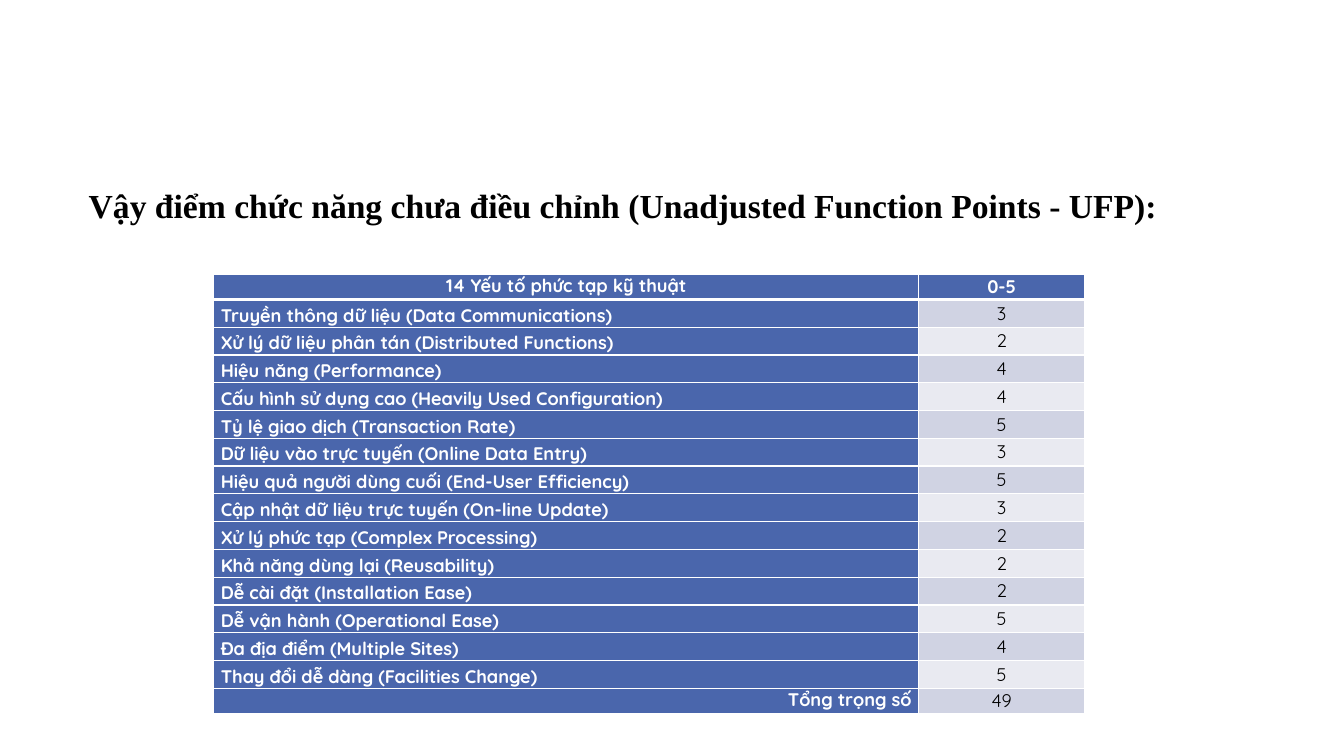
import dataclasses

import lxml.etree
import pptx
import pptx.dml.color
import pptx.enum.text
import pptx.oxml.ns
import pptx.util

Inches = pptx.util.Inches
Pt = pptx.util.Pt
ALIGN = pptx.enum.text.PP_ALIGN
ANCHOR = pptx.enum.text.MSO_ANCHOR


@dataclasses.dataclass(frozen=True)
class Theme:
    heading_font: str = "Times New Roman"
    table_font: str = "Quicksand"
    heading_size: float = 24
    table_size: float = 13
    black: str = "000000"
    white: str = "FFFFFF"
    blue: str = "4A66AC"
    bands: tuple = ("D0D3E3", "E9EAF1")
    rule: float = 1
    header_rule: float = 3


THEME = Theme()

HEADING = "Vậy điểm chức năng chưa điều chỉnh (Unadjusted Function Points - UFP):"
HEADER = ("14 Yếu tố phức tạp kỹ thuật", "0-5")
FACTORS = [
    ("Truyền thông dữ liệu (Data Communications)", 3),
    ("Xử lý dữ liệu phân tán (Distributed Functions)", 2),
    ("Hiệu năng (Performance)", 4),
    ("Cấu hình sử dụng cao (Heavily Used Configuration)", 4),
    ("Tỷ lệ giao dịch (Transaction Rate)", 5),
    ("Dữ liệu vào trực tuyến (Online Data Entry)", 3),
    ("Hiệu quả người dùng cuối (End-User Efficiency)", 5),
    ("Cập nhật dữ liệu trực tuyến (On-line Update)", 3),
    ("Xử lý phức tạp (Complex Processing)", 2),
    ("Khả năng dùng lại (Reusability)", 2),
    ("Dễ cài đặt (Installation Ease)", 2),
    ("Dễ vận hành (Operational Ease)", 5),
    ("Đa địa điểm (Multiple Sites)", 4),
    ("Thay đổi dễ dàng (Facilities Change)", 5),
]
TOTAL_LABEL = "Tổng trọng số"


def apply(target, formats):
    for name, value in formats.items():
        setattr(target, name, value)


def write(frame, text, color, paragraph_formats, font_formats):
    paragraph = frame.paragraphs[0]
    apply(paragraph, paragraph_formats)
    run = paragraph.add_run()
    run.text = text
    apply(run.font, font_formats)
    run.font.color.rgb = pptx.dml.color.RGBColor.from_string(color)


def rule_cell(cell, top, bottom):
    properties = cell._tc.get_or_add_tcPr()
    qn = pptx.oxml.ns.qn
    widths = {"lnL": THEME.rule, "lnR": THEME.rule, "lnT": top, "lnB": bottom}
    for side, width in widths.items():
        line = lxml.etree.SubElement(properties, qn(f"a:{side}"), w=str(Pt(width)))
        fill = lxml.etree.SubElement(line, qn("a:solidFill"))
        lxml.etree.SubElement(fill, qn("a:srgbClr"), val=THEME.white)


def fill_cell(cell, text, fill, color, bold, paragraph_formats, anchor, top, bottom):
    rule_cell(cell, top, bottom)
    cell.fill.solid()
    cell.fill.fore_color.rgb = pptx.dml.color.RGBColor.from_string(fill)
    apply(cell, {
        "margin_left": Inches(0.07), "margin_right": Inches(0.07),
        "margin_top": 0, "margin_bottom": 0, "vertical_anchor": anchor,
    })
    write(cell.text_frame, text, color, paragraph_formats,
          {"name": THEME.table_font, "size": Pt(THEME.table_size), "bold": bold})


def place_heading(slide, left, top, width, height):
    heading = slide.shapes.title
    apply(heading, {
        "left": Inches(left), "top": Inches(top),
        "width": Inches(width), "height": Inches(height),
    })
    apply(heading.text_frame, {
        "word_wrap": True, "vertical_anchor": ANCHOR.TOP,
        "margin_top": Inches(0.07),
        "auto_size": pptx.enum.text.MSO_AUTO_SIZE.NONE,
    })
    write(heading.text_frame, HEADING, THEME.black, {"alignment": ALIGN.LEFT},
          {"name": THEME.heading_font, "size": Pt(THEME.heading_size), "bold": True})


def place_factor_table(slide, left, top, width, height):
    total = sum(score for _, score in FACTORS)
    rows = [HEADER, *FACTORS, (TOTAL_LABEL, total)]
    last = len(rows) - 1
    table = slide.shapes.add_table(
        len(rows), 2, Inches(left), Inches(top), Inches(width), Inches(height)).table

    score_width = 1.65
    table.columns[0].width = Inches(width - score_width)
    table.columns[1].width = Inches(score_width)
    edge_height = 0.25
    factor_height = (height - 2 * edge_height) / len(FACTORS)

    for index, (label, score) in enumerate(rows):
        is_header = index == 0
        is_factor = 0 < index < last
        table.rows[index].height = Inches(factor_height if is_factor else edge_height)
        if is_factor:
            label_formats = {"alignment": ALIGN.LEFT, "line_spacing": 1.2}
        else:
            label_formats = {"alignment": ALIGN.CENTER if is_header else ALIGN.RIGHT}
        rules = {
            "top": THEME.header_rule if index == 1 else THEME.rule,
            "bottom": THEME.header_rule if is_header else THEME.rule,
        }
        fill_cell(table.cell(index, 0), label, THEME.blue, THEME.white, True,
                  label_formats, ANCHOR.TOP, **rules)
        fill_cell(table.cell(index, 1), str(score),
                  THEME.blue if is_header else THEME.bands[(index - 1) % 2],
                  THEME.white if is_header else THEME.black, is_header,
                  {"alignment": ALIGN.CENTER}, ANCHOR.MIDDLE, **rules)


def main():
    deck = pptx.Presentation()
    apply(deck, {"slide_width": Inches(13.33), "slide_height": Inches(7.5)})
    slide = deck.slides.add_slide(deck.slide_layouts[5])
    place_heading(slide, 0.78, 1.76, 11.67, 0.91)
    place_factor_table(slide, 2.12, 2.72, 8.64, 4.36)
    deck.save("out.pptx")


if __name__ == "__main__":
    main()
